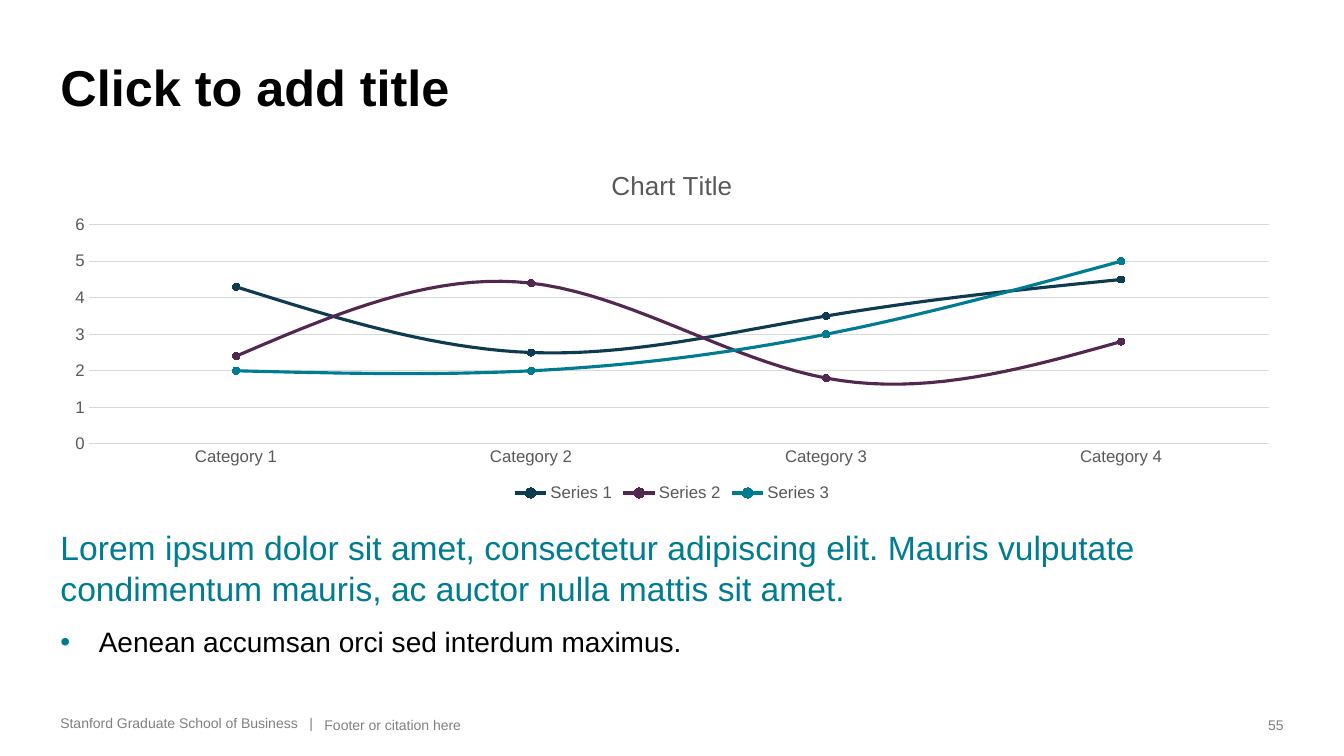
from dataclasses import dataclass

from lxml import etree
from pptx import Presentation
from pptx import util as u
from pptx.chart.data import CategoryChartData
from pptx.dml.color import RGBColor
from pptx.enum import chart as ch
from pptx.enum import text as t
from pptx.oxml.ns import qn


@dataclass(frozen=True)
class Theme:
    font: str = "Arial"
    ink: str = "000000"
    accent: str = "007C92"
    label: str = "595959"
    muted: str = "808080"
    rule: str = "D9D9D9"
    series: tuple = ("0E3B50", "53284F", "007C92")
    title: float = 36
    lead: float = 24
    bullet: float = 20
    chart_title: float = 18.6
    chart_label: float = 12
    footer: float = 10


class SlideBuilder:
    """Places elements on a grid of half-inch columns and rows."""

    CELL = u.Inches(0.5)

    def __init__(self, slide, theme):
        self.slide, self.theme = slide, theme

    def cells(self, *counts):
        return [round(count * self.CELL) for count in counts]

    def style(self, font, size, color, bold=False):
        font.name, font.size, font.bold = self.theme.font, u.Pt(size), bold
        font.color.rgb = RGBColor.from_string(color)

    def rule(self, line, color, width):
        line.color.rgb = RGBColor.from_string(color)
        line.width = u.Pt(width)

    def place(self, placeholder, area, anchor):
        (placeholder.left, placeholder.top,
         placeholder.width, placeholder.height) = self.cells(*area)
        frame = placeholder.text_frame
        frame.auto_size = t.MSO_AUTO_SIZE.NONE
        frame.vertical_anchor = anchor
        return frame

    def title(self, wording, area):
        frame = self.place(self.slide.shapes.title, area, t.MSO_ANCHOR.BOTTOM)
        frame.text = wording
        heading = frame.paragraphs[0]
        heading.alignment = t.PP_ALIGN.LEFT
        self.style(heading.font, self.theme.title, self.theme.ink, bold=True)

    def body(self, lead, points, area):
        frame = self.place(self.slide.placeholders[1], area, t.MSO_ANCHOR.TOP)
        frame.text = "\n".join([lead, *points])
        intro, *bullets = frame.paragraphs
        self.indent(intro, 0)
        etree.SubElement(intro._p.get_or_add_pPr(), qn("a:buNone"))
        intro.space_before = u.Pt(0)
        self.style(intro.font, self.theme.lead, self.theme.accent)
        for point in bullets:
            point.level = 1
            self.indent(point, 0.38)
            props = point._p.get_or_add_pPr()
            tint = etree.SubElement(props, qn("a:buClr"))
            etree.SubElement(tint, qn("a:srgbClr"), val=self.theme.accent)
            etree.SubElement(props, qn("a:buFont"), typeface=self.theme.font)
            etree.SubElement(props, qn("a:buChar"), char="•")
            point.space_before = u.Pt(12)
            self.style(point.font, self.theme.bullet, self.theme.ink)

    def indent(self, paragraph, inches):
        props = paragraph._p.get_or_add_pPr()
        props.set("marL", str(u.Inches(inches)))
        props.set("indent", str(-u.Inches(inches)))

    def footer(self, wording, area, align=t.PP_ALIGN.LEFT, wrap=True):
        frame = self.slide.shapes.add_textbox(*self.cells(*area)).text_frame
        frame.word_wrap = wrap
        frame.vertical_anchor = t.MSO_ANCHOR.BOTTOM
        frame.text = wording
        note = frame.paragraphs[0]
        note.alignment = align
        self.style(note.font, self.theme.footer, self.theme.muted)

    def line_chart(self, heading, categories, values, area):
        theme = self.theme
        data = CategoryChartData()
        data.categories = categories
        for name, numbers in values.items():
            data.add_series(name, numbers)
        chart = self.slide.shapes.add_chart(
            ch.XL_CHART_TYPE.LINE_MARKERS, *self.cells(*area), data).chart
        self.style(chart.font, theme.chart_label, theme.label)

        # Chart title and legend
        chart.has_title = True
        chart.chart_title.include_in_layout = False
        chart.chart_title.text_frame.text = heading
        self.style(chart.chart_title.text_frame.paragraphs[0].font,
                   theme.chart_title, theme.label)
        chart.has_legend = True
        chart.legend.position = ch.XL_LEGEND_POSITION.BOTTOM
        chart.legend.include_in_layout = False
        self.style(chart.legend.font, theme.chart_label, theme.label)

        # Axes
        for axis in (chart.category_axis, chart.value_axis):
            axis.major_tick_mark = axis.minor_tick_mark = ch.XL_TICK_MARK.NONE
            self.style(axis.tick_labels.font, theme.chart_label, theme.label)
        self.rule(chart.category_axis.format.line, theme.rule, 0.75)
        scale = chart.value_axis
        scale.minimum_scale, scale.maximum_scale, scale.major_unit = 0, 6, 1
        scale.format.line.fill.background()
        self.rule(scale.major_gridlines.format.line, theme.rule, 0.75)

        # Series
        chart.plots[0].vary_by_categories = False
        for series, color in zip(chart.plots[0].series, theme.series):
            series.smooth = True
            self.rule(series.format.line, color, 2.25)
            series.marker.style = ch.XL_MARKER_STYLE.CIRCLE
            series.marker.size = 5
            series.marker.format.fill.solid()
            series.marker.format.fill.fore_color.rgb = RGBColor.from_string(color)
            self.rule(series.marker.format.line, color, 0.75)


def main():
    deck = Presentation()
    deck.slide_width, deck.slide_height = u.Inches(13.33), u.Inches(7.5)
    page = SlideBuilder(deck.slides.add_slide(deck.slide_layouts[1]), Theme())
    left, full = 1, 24.66
    footer_top, footer_height = 14.06, 0.58

    # Title
    page.title("Click to add title", (left, 1, full, 1.42))

    # Chart
    page.line_chart(
        "Chart Title",
        [f"Category {number}" for number in range(1, 5)],
        {"Series 1": (4.3, 2.5, 3.5, 4.5),
         "Series 2": (2.4, 4.4, 1.8, 2.8),
         "Series 3": (2, 2, 3, 5)},
        (left, 3, full, 7.04))

    # Takeaway
    page.body(
        "Lorem ipsum dolor sit amet, consectetur adipiscing elit. "
        "Mauris vulputate condimentum mauris, ac auctor nulla mattis sit amet.",
        ["Aenean accumsan orci sed interdum maximus."],
        (left, 10.36, full, 3.38))

    # Footer
    page.footer("Stanford Graduate School of Business\u00a0\u00a0 |".replace("\u00a0\u00a0 ", "   "),
                (left, footer_top, 5.44, 0.54), wrap=False)
    page.footer("Footer or citation here",
                (6.24, footer_top, 18.34, footer_height))
    page.footer("55", (24.88, footer_top, 0.78, footer_height),
                align=t.PP_ALIGN.RIGHT, wrap=False)

    deck.save("out.pptx")


if __name__ == "__main__":
    main()
